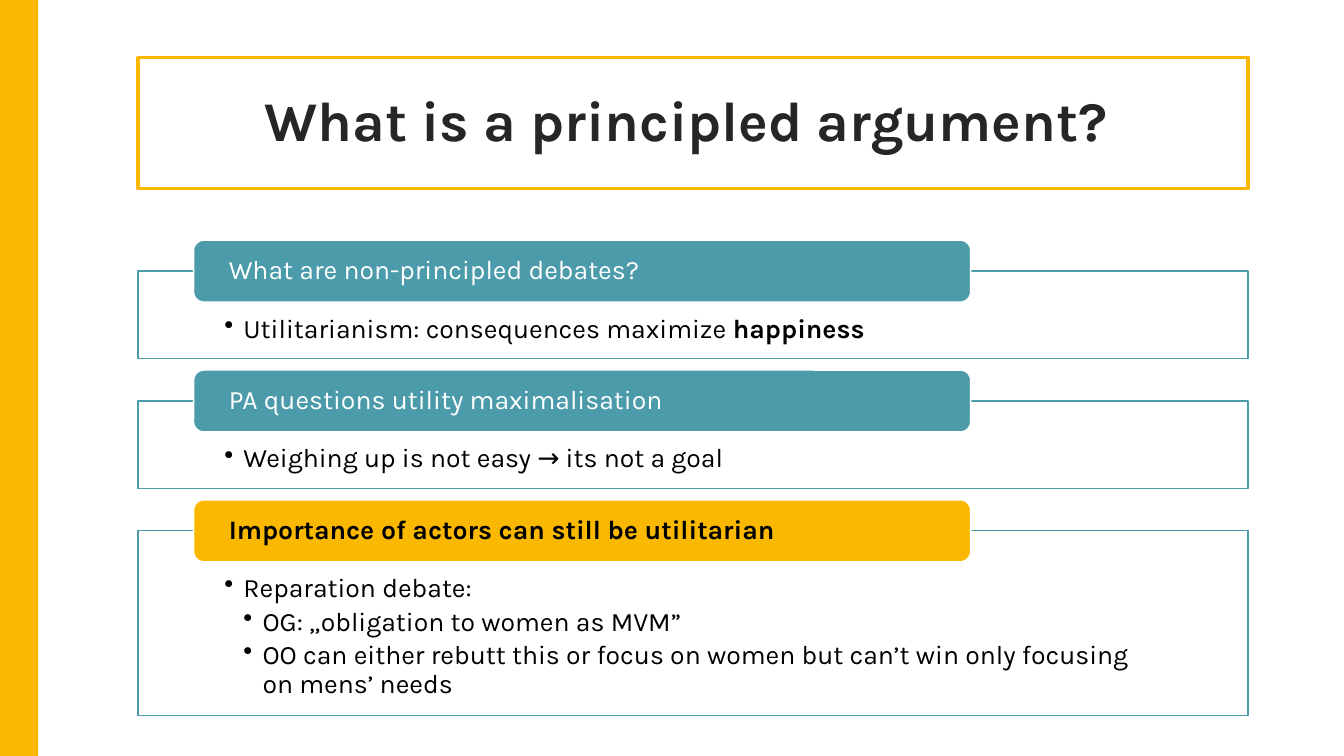
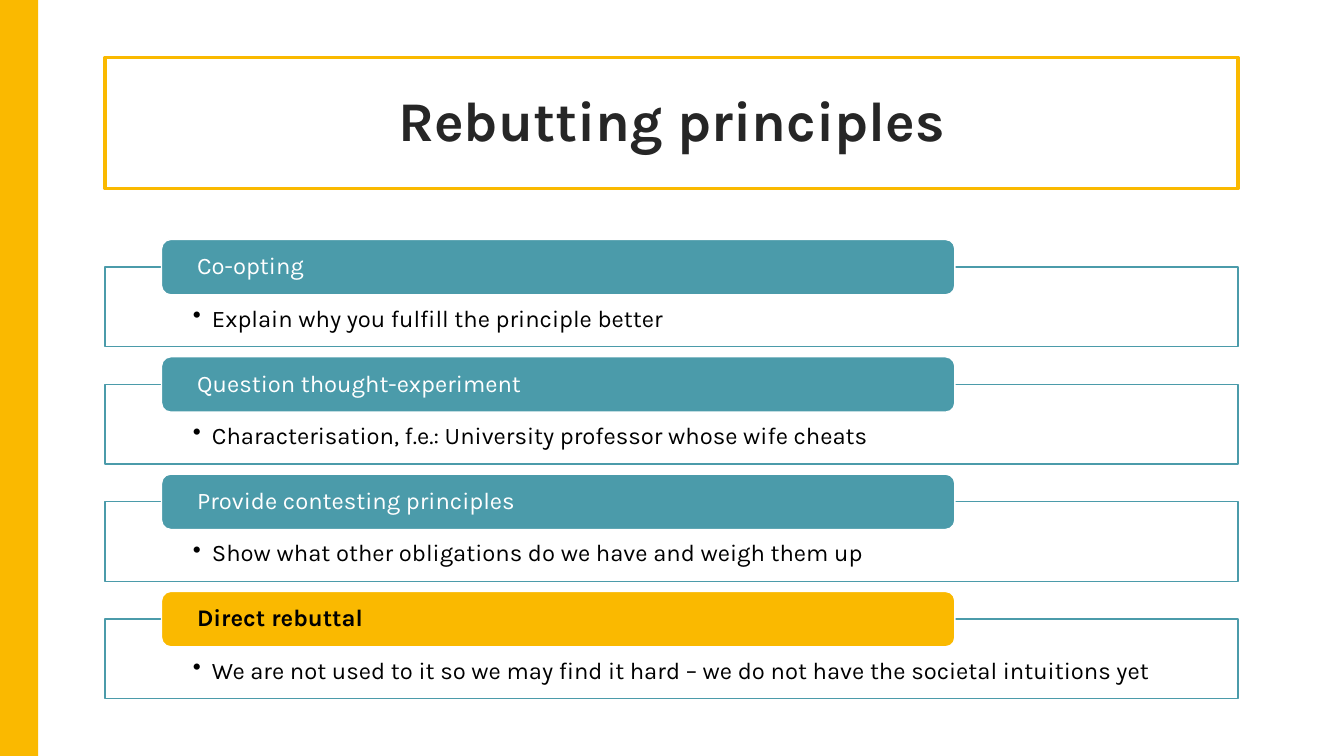
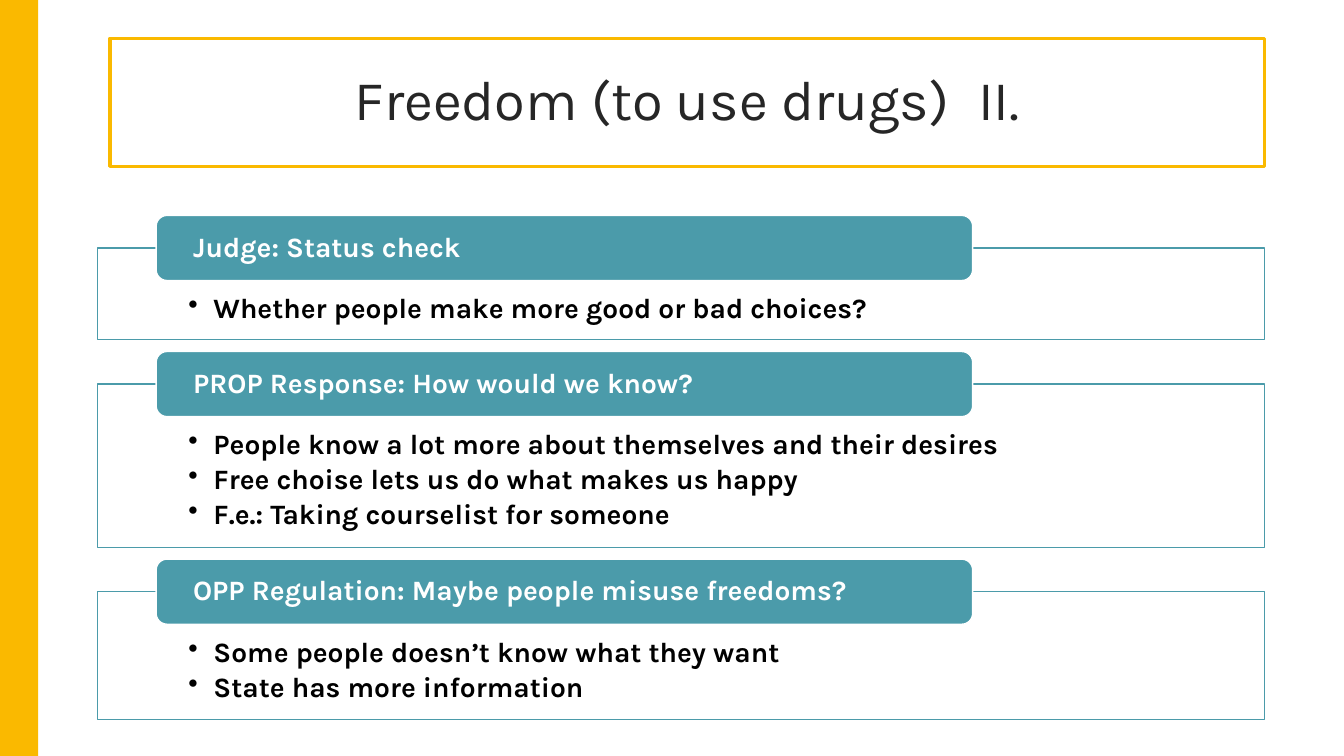
"""Builds three debate slides, each a framed title above boxes with header tabs."""
from pptx import Presentation
from pptx.dml.color import RGBColor
from pptx.enum.shapes import MSO_SHAPE as Shape
from pptx.enum.text import MSO_ANCHOR as Anchor, MSO_AUTO_SIZE as Fit, PP_ALIGN as Align
from pptx.oxml.xmlchemy import OxmlElement
from pptx.util import Inches, Pt

GOLD = RGBColor(0xFA, 0xB9, 0x00)
TEAL = RGBColor(0x4B, 0x9B, 0xAA)
WHITE = RGBColor(0xFF, 0xFF, 0xFF)
BLACK = RGBColor(0x00, 0x00, 0x00)
INK = RGBColor(0x26, 0x26, 0x26)
FONT = "Karla"

DECK = [
    dict(
        title="What is a principled argument? ", frame=(1.37, 0.57, 11.01, 1.3),
        strong=True, left=1.37, top=2.69, wide=11.01, size=19, dent=0.19, bold=False,
        boxes=[
            (0.87, TEAL, "What are non-principled debates?",
             [(1, "Utilitarianism: consequences maximize *happiness")]),
            (0.87, TEAL, "PA questions utility maximalisation",
             [(1, "Weighing up is not easy → its not a goal")]),
            (1.83, GOLD, "Importance of actors can still be utilitarian",
             [(1, "Reparation debate:"),
              (2, "OG: „obligation to women as MVM”"),
              (2, "OO can either rebutt this or focus on women but can’t win "
                  "only focusing on mens’ needs")]),
        ]),
    dict(
        title="Rebutting principles", frame=(1.04, 0.57, 11.24, 1.3),
        strong=True, left=1.04, top=2.65, wide=11.24, size=17, dent=0.19, bold=False,
        boxes=[
            (0.79, TEAL, "Co-opting",
             [(1, "Explain why you fulfill the principle better")]),
            (0.79, TEAL, "Question thought-experiment",
             [(1, "Characterisation, f.e.: University professor whose wife cheats")]),
            (0.79, TEAL, "Provide contesting principles",
             [(1, "Show what other obligations do we have and weigh them up")]),
            (0.79, GOLD, "Direct rebuttal",
             [(1, "We are not used to it so we may find it hard – "
                  "we do not have the societal intuitions yet")]),
        ]),
    dict(
        title="Freedom (to use drugs)* *II.", frame=(1.09, 0.38, 11.45, 1.27),
        strong=False, left=0.97, top=2.46, wide=11.57, size=20, dent=0.25, bold=True,
        boxes=[
            (0.91, TEAL, "Judge: Status check",
             [(1, "Whether people make more good or bad choices?")]),
            (1.62, TEAL, "PROP Response: How would we know?",
             [(1, "People know a lot more about themselves and their desires"),
              (1, "Free choise lets us do what makes us happy"),
              (1, "F.e.: Taking courselist for someone")]),
            (1.27, TEAL, "OPP Regulation: Maybe people misuse freedoms?",
             [(1, "Some people doesn’t know what they want"),
              (1, "State has more information")]),
        ]),
]


def block(slide, kind, area, fill, line, pads):
    """Add a plain shape whose text starts at the given left, top, right and bottom pads."""
    shape = slide.shapes.add_shape(kind, *map(Inches, area))
    shape.shadow.inherit = False
    shape.fill.solid()
    shape.fill.fore_color.rgb = fill
    shape.line.color.rgb = line
    shape.line.width = Pt(1)
    setup(shape.text_frame, pads)
    return shape


def setup(frame, pads):
    """Set the wrapping and the four pads of a text frame."""
    frame.word_wrap = True
    frame.auto_size = Fit.NONE
    (frame.margin_left, frame.margin_top,
     frame.margin_right, frame.margin_bottom) = map(Inches, pads)


deck = Presentation()
deck.slide_width, deck.slide_height = Inches(13.33), Inches(7.5)
layout = deck.slide_layouts[5]

for page in DECK:
    slide = deck.slides.add_slide(layout)
    if len(deck.slides) == 1:
        bar = block(slide, Shape.RECTANGLE, (-0.02, 0, 0.4, 7.52), GOLD, GOLD, (0, 0, 0, 0))
        bar.line.fill.background()
        layout.shapes.element.append(bar.element)

    title = slide.shapes.title
    title.left, title.top, title.width, title.height = map(Inches, page["frame"])
    title.line.color.rgb = GOLD
    title.line.width = Pt(2.5)
    setup(title.text_frame, (0.2, 0.2, 0.2, 0.2))
    title.text_frame.vertical_anchor = Anchor.MIDDLE
    para = title.text_frame.paragraphs[0]
    para.alignment = Align.CENTER
    para.line_spacing = 0.9
    for turn, part in enumerate(page["title"].split("*")):
        run = para.add_run()
        run.text = part
        run.font.name, run.font.size = FONT, Pt(40)
        run.font.bold = page["strong"]
        run.font.color.rgb = INK
        if turn == 1:
            run.font._element.set("spc", "1100")

    left, top, wide, size = (page[key] for key in ("left", "top", "wide", "size"))
    side, tall = wide * 0.0776, size * 0.0323
    for high, fill, head, points in page["boxes"]:
        box = block(slide, Shape.RECTANGLE, (left, top, wide, high), WHITE, TEAL,
                    (side, size * 0.023, side, 0.15))
        frame = box.text_frame
        frame.vertical_anchor = Anchor.TOP
        for row, (level, text) in enumerate(points):
            para = frame.add_paragraph() if row else frame.paragraphs[0]
            para.alignment = Align.LEFT
            para.line_spacing = 0.9
            para.space_after = Pt(size * 0.175)
            para.level = level
            props = para._p.get_or_add_pPr()
            props.set("marL", str(Inches(page["dent"] * level)))
            props.set("indent", str(-Inches(page["dent"])))
            dot = OxmlElement("a:buChar")
            dot.set("char", "•")
            props.append(dot)
            for turn, part in enumerate(text.split("*")):
                run = para.add_run()
                run.text = part
                run.font.name, run.font.size = FONT, Pt(size)
                run.font.bold = page["bold"] or turn == 1
                run.font.color.rgb = BLACK

        tab = block(slide, Shape.ROUNDED_RECTANGLE,
                    (left + wide * 0.05, top - tall / 2, wide * 0.7, tall),
                    fill, WHITE, (wide * 0.029, 0, wide * 0.029, 0))
        tab.text_frame.vertical_anchor = Anchor.MIDDLE
        tab.text_frame.text = head
        para = tab.text_frame.paragraphs[0]
        para.alignment = Align.LEFT
        para.line_spacing = 0.9
        font = para.runs[0].font
        font.name, font.size = FONT, Pt(size)
        font.bold = page["bold"] or fill == GOLD
        font.color.rgb = BLACK if fill == GOLD else WHITE
        top += high + size * 0.022

deck.save("out.pptx")
